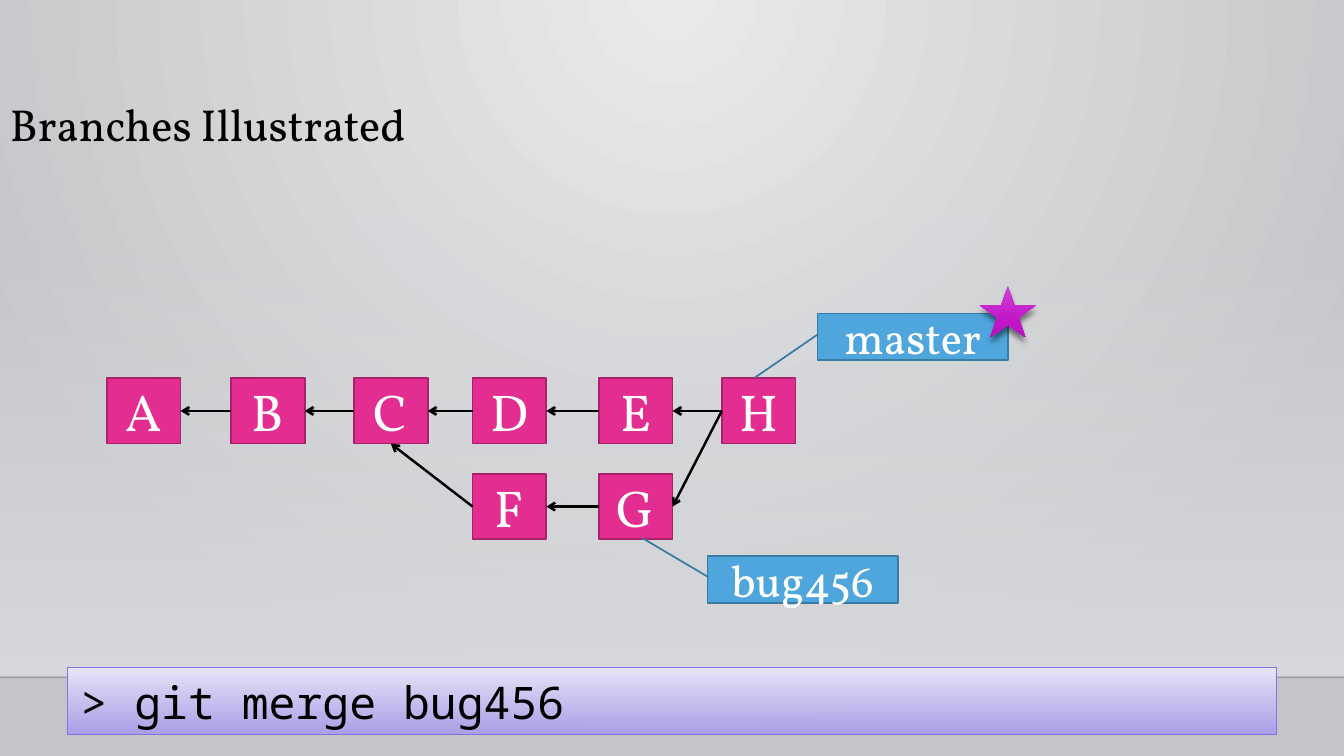
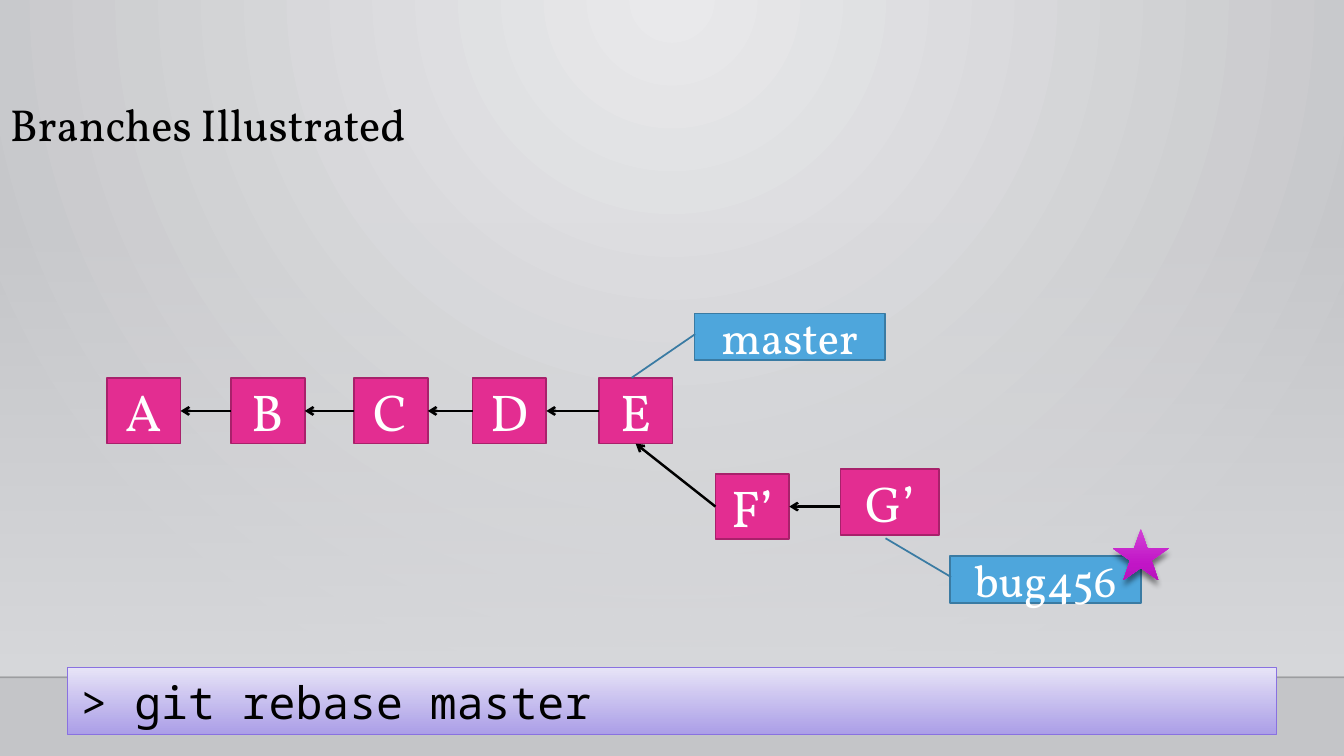
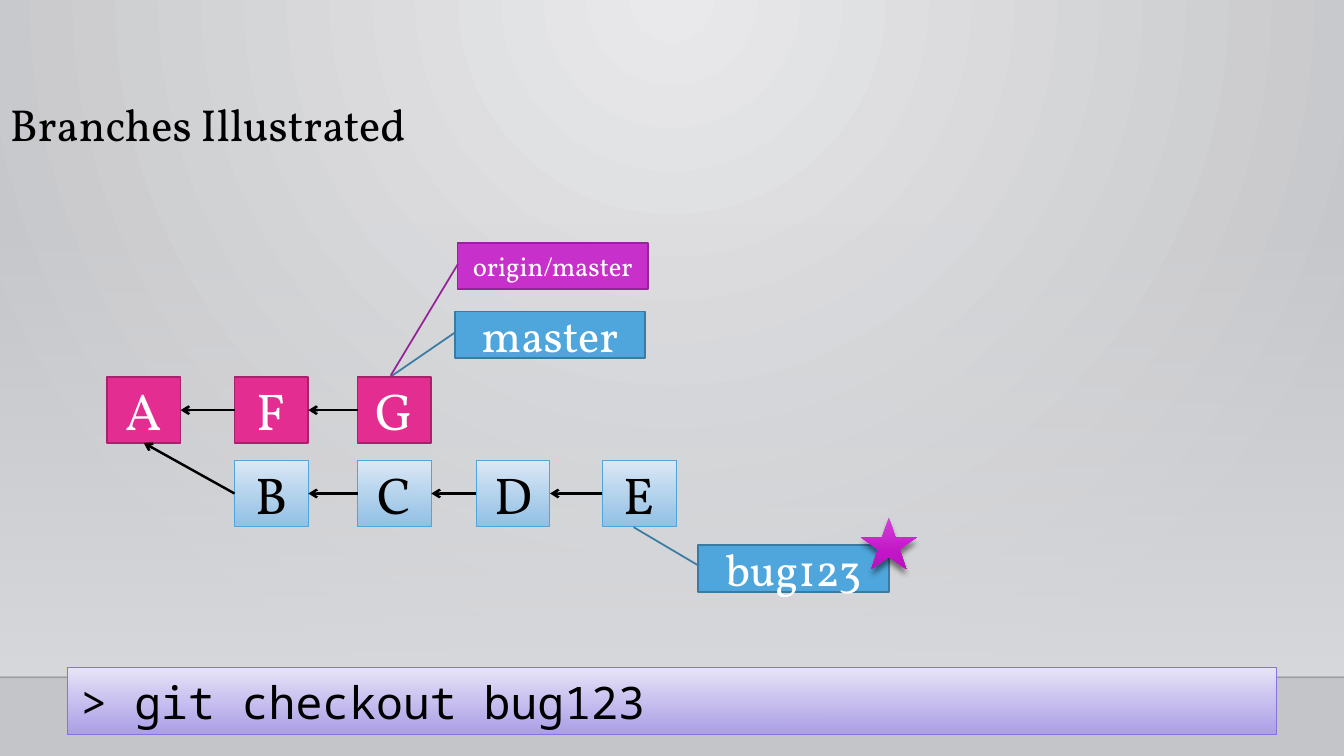
from lxml.etree import SubElement
from pptx import Presentation
from pptx.dml.color import RGBColor
from pptx.enum.shapes import MSO_CONNECTOR, MSO_SHAPE
from pptx.enum.text import MSO_ANCHOR, MSO_AUTO_SIZE, PP_ALIGN
from pptx.oxml.ns import qn
from pptx.util import Cm, Pt

HEX = {
    "black": "000000", "white": "FFFFFF", "edge": "000001",
    "light": "E9E9EB", "dark": "C4C5C8", "haze": "D8D9DC",
    "pink": "E32D91", "wine": "A8216B",
    "blue": "4EA6DC", "navy": "3A7BA3",
    "plum": "C830CC", "grape": "942497",
    "ice": "DDEAF7", "sky": "8DBFE8",
    "pale": "E9E6F9", "lilac": "AA9CEB", "iris": "8971E1",
    "star1": "D241D6", "star2": "C115C6", "star3": "B714BC",
}
SERIF, MONO = "Vollkorn", "Noto Sans Mono"
WIDE, TALL = 33.87, 19.05

# Commit grid, in cm
COLS = [2.69, 5.82, 8.92, 11.91, 15.09, 18.19]
ROW, LOW = 9.53, 11.94
BOX = (1.86, 1.65)
TAG = (4.8, 1.17)

# Fill, line colour, line width, text colour
PINK = ("pink", "wine", 1.25, "white")
ICE = ([(0, "ice", 100), (100, "sky", 92)], "blue", 0.75, "black")
BLUE = ("blue", "navy", 1.25, "white")
PLUM = ("plum", "grape", 1.25, "white")
BAR = ([(0, "pale", 100), (100, "lilac", 92)], "iris", 0.75, "black")


def rgb(name):
    return RGBColor.from_string(HEX[name])


def sub(node, tag, **attrs):
    return SubElement(node, qn(tag), {k: str(v) for k, v in attrs.items()})


def shade(node, name, alpha):
    tint = sub(node, "a:srgbClr", val=HEX[name])
    if alpha < 100:
        sub(tint, "a:alpha", val=alpha * 1000)


def blend(fill, root, stops, focus=None):
    """Gradient running down, or round a focus (left, top, right, bottom)."""
    fill.gradient()
    grad = root.xpath(".//a:gradFill")[0]
    for child in list(grad):
        grad.remove(child)
    items = sub(grad, "a:gsLst")
    for pos, name, alpha in stops:
        shade(sub(items, "a:gs", pos=pos * 1000), name, alpha)
    if focus:
        ring = sub(grad, "a:path", path="circle")
        sub(ring, "a:fillToRect", **{k: v * 1000 for k, v in zip("ltrb", focus)})
    else:
        sub(grad, "a:lin", ang=5400000, scaled=0)


def text(shape, words, size=32, font=SERIF, color="black", align=PP_ALIGN.CENTER,
         anchor=MSO_ANCHOR.MIDDLE, pad=(0.33, 0.18), space=None,
         fit=MSO_AUTO_SIZE.NONE):
    frame = shape.text_frame
    frame.word_wrap = True
    frame.auto_size = fit
    frame.vertical_anchor = anchor
    frame.margin_left = frame.margin_right = Cm(pad[0])
    frame.margin_top = frame.margin_bottom = Cm(pad[1])
    para = frame.paragraphs[0]
    para.alignment = align
    if space:
        para.line_spacing = space
    run = para.add_run()
    run.text = words
    run.font.size, run.font.name = Pt(size), font
    run.font.color.rgb = rgb(color)


class Deck:
    def __init__(self):
        self.prs = Presentation()
        self.prs.slide_width, self.prs.slide_height = Cm(WIDE), Cm(TALL)
        self.base = self.prs.slide_layouts[5]
        self.slide = None
        root = self.prs.slide_master
        blend(root.background.fill, root.element,
              [(0, "light", 100), (100, "dark", 100)], (43, 0, 43, 100))

    def floor(self):
        """Put the haze and its edge on the layout, for all slides."""
        haze = self.shape(MSO_SHAPE.RECTANGLE, 0, 5.59, WIDE, 11.43,
                          [(0, "haze", 0), (100, "haze", 100)])
        edge = self.line((0, Cm(17.07)), (Cm(WIDE), Cm(17.07)), "edge", 1)
        sub(edge.element.xpath(".//a:ln//a:srgbClr")[0], "a:alpha", val=20000)
        for pos, part in enumerate((haze, edge)):
            part.element.xpath(".//p:cNvPr")[0].set("id", str(100 + pos))
            self.base.shapes._spTree.insert(2 + pos, part.element)

    def new(self, title, code):
        first = self.slide is None
        self.slide = self.prs.slides.add_slide(self.base)
        if first:
            self.floor()
        head = self.slide.shapes.title
        head.left, head.top, head.width, head.height = 0, Cm(0.76), Cm(30.48), Cm(3.18)
        text(head, title, align=PP_ALIGN.LEFT, anchor=MSO_ANCHOR.BOTTOM,
             pad=(0.25, 0.13), space=0.9)
        bar = self.shape(MSO_SHAPE.RECTANGLE, 1.7, 16.82, 30.48, 1.7, *BAR[:3])
        text(bar, code, font=MONO, align=PP_ALIGN.LEFT, anchor=MSO_ANCHOR.TOP,
             fit=MSO_AUTO_SIZE.SHAPE_TO_FIT_TEXT)

    def shape(self, kind, x, y, w, h, fill, line=None, width=1):
        item = self.slide.shapes.add_shape(kind, Cm(x), Cm(y), Cm(w), Cm(h))
        item.shadow.inherit = False
        if isinstance(fill, list):
            blend(item.fill, item.element, fill)
        else:
            item.fill.solid()
            item.fill.fore_color.rgb = rgb(fill)
        if line:
            item.line.color.rgb = rgb(line)
            item.line.width = Pt(width)
        else:
            item.line.fill.background()
        return item

    def line(self, start, end, color="black", width=1.75):
        item = self.slide.shapes.add_connector(MSO_CONNECTOR.STRAIGHT, *start, *end)
        item.line.color.rgb = rgb(color)
        item.line.width = Pt(width)
        sub(item.element.spPr, "a:effectLst")
        return item

    def node(self, words, x, y, style=PINK, box=BOX, size=37):
        item = self.shape(MSO_SHAPE.RECTANGLE, x, y, *box, *style[:3])
        text(item, words, size, color=style[3])
        return item

    def link(self, child, base, side=3, flat=False):
        """Arrow from the left of a commit to a side of its parent."""
        start = child.left, base.top + base.height // 2
        item = self.line(start, (base.left, base.top))
        if not flat:
            item.begin_connect(child, 1)
        item.end_connect(base, side)
        sub(item.element.xpath(".//a:ln")[0], "a:tailEnd", type="arrow")

    def chain(self, names, cols, y, style=PINK):
        nodes = [self.node(n, x, y, style) for n, x in zip(names, cols)]
        for base, child in zip(nodes, nodes[1:]):
            self.link(child, base)
        return nodes

    def tag(self, words, x, y, tip, style=BLUE, size=32):
        """Branch label; tip is the pointer end (down, across) as box shares."""
        item = self.shape(MSO_SHAPE.LINE_CALLOUT_1, x, y, *TAG, *style[:3])
        for pos, value in enumerate((0.446, 0.004, *tip)):
            item.adjustments[pos] = value
        text(item, words, size, color=style[3])
        return item

    def star(self, tag):
        """Mark the current branch at the top right corner of its label."""
        x, y = (tag.left + tag.width) / Cm(1), tag.top / Cm(1)
        item = self.shape(MSO_SHAPE.STAR_5_POINT, x - 0.71, y - 0.7, 1.42, 1.3,
                          [(0, "star1", 100), (69, "star2", 100), (100, "star3", 100)])
        glow = sub(item.element.spPr.find(qn("a:effectLst")), "a:outerShdw",
                   blurRad=Pt(4), dist=Pt(4), dir=5400000, rotWithShape=0)
        shade(glow, "black", 48)


DOWN, UP, FAR = (1.383, -0.329), (-0.389, -0.34), (2.86, -0.351)
TITLE = "Branches Illustrated"


def main():
    deck = Deck()

    # Merge
    deck.new(TITLE, "> git merge bug456")
    top = deck.chain("ABCDEH", COLS, ROW)
    low = deck.chain("FG", COLS[3:], LOW)
    deck.link(low[0], top[2], 2)
    deck.link(top[5], low[1])
    trunk = deck.tag("master", 20.6, 7.9, DOWN)
    deck.tag("bug456", 17.83, 14.02, UP)
    deck.star(trunk)

    # Rebase
    deck.new(TITLE, "> git rebase master")
    top = deck.chain("ABCDE", COLS, ROW)
    left = deck.node("F’", 18.03, LOW)
    right = deck.node("G’", 21.18, 11.81, box=(2.49, 1.68), size=36)
    deck.link(left, top[4], 2)
    deck.link(right, left, flat=True)
    deck.tag("master", 17.5, 7.9, DOWN)
    deck.star(deck.tag("bug456", 23.95, 14.02, UP))

    # Checkout
    deck.new(TITLE, "> git checkout bug123")
    cols = [x + 0.09 for x in COLS[1:]]
    top = deck.chain("AFG", COLS[:1] + cols, 9.51)
    low = deck.chain("BCDE", cols, 11.61, ICE)
    deck.link(low[0], top[0], 2)
    deck.tag("master", 11.46, 7.85, DOWN)
    deck.tag("origin/master", 11.53, 6.12, FAR, PLUM, 19)
    deck.star(deck.tag("bug123", 17.6, 13.74, UP))

    deck.prs.save("out.pptx")


if __name__ == "__main__":
    main()
